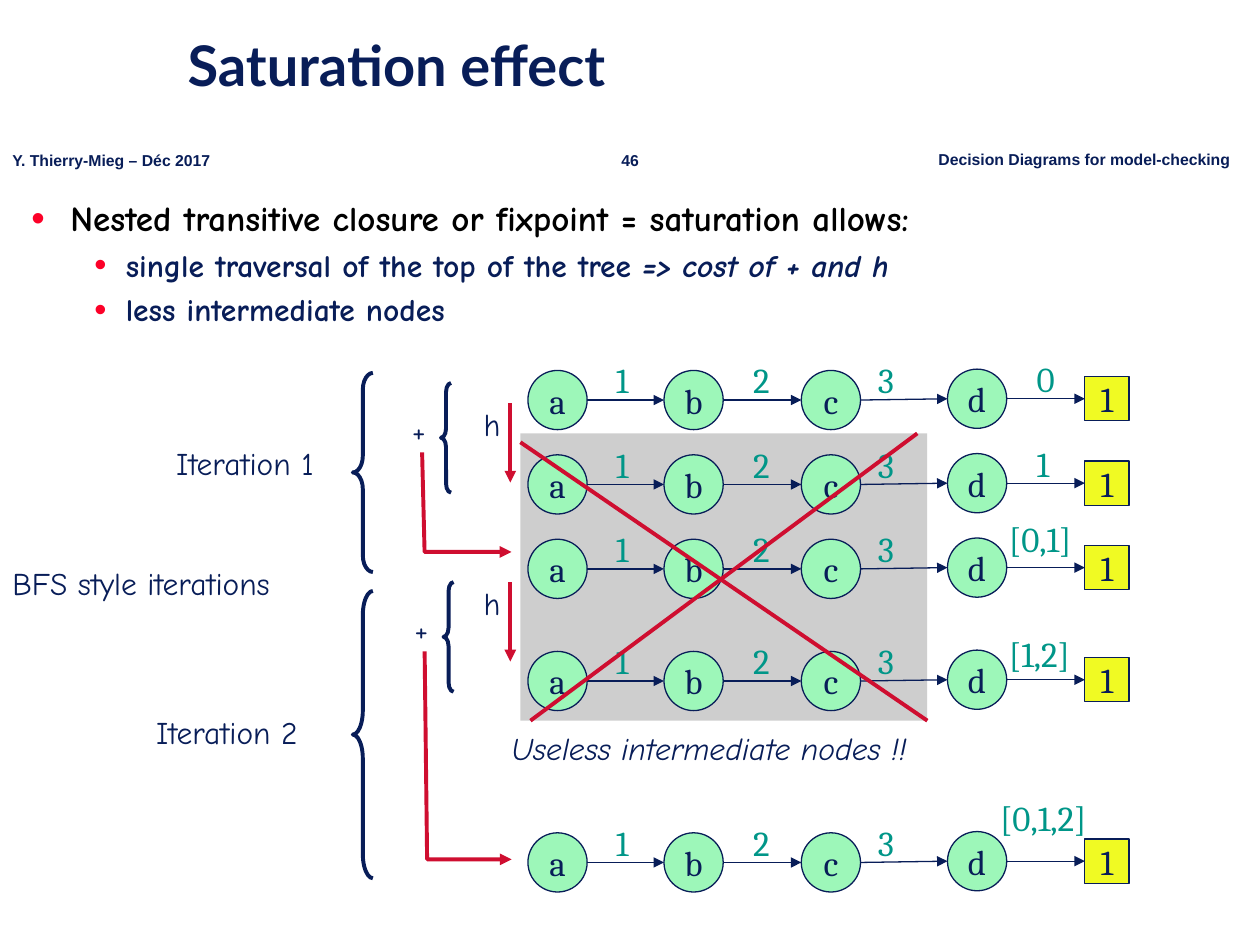
from dataclasses import dataclass
from itertools import pairwise

from lxml import etree
from pptx import Presentation
from pptx.dml.color import RGBColor
from pptx.enum.shapes import MSO_CONNECTOR, MSO_SHAPE
from pptx.enum.text import MSO_ANCHOR, PP_ALIGN
from pptx.oxml.ns import qn
from pptx.util import Inches, Pt

OVAL, RECT, BRACE = MSO_SHAPE.OVAL, MSO_SHAPE.RECTANGLE, MSO_SHAPE.LEFT_BRACE
STRAIGHT = MSO_CONNECTOR.STRAIGHT
LEFT, CENTER = PP_ALIGN.LEFT, PP_ALIGN.CENTER
TOP, MIDDLE = MSO_ANCHOR.TOP, MSO_ANCHOR.MIDDLE


@dataclass(frozen=True)
class Style:
    font: str
    size: float
    color: str
    bold: bool = False
    italic: bool = False
    spacing: float = 1.0


@dataclass(frozen=True)
class Theme:
    navy: str = "081D58"
    red: str = "CF0E30"
    dot: str = "FC0128"
    green: str = "9DF7B9"
    yellow: str = "F0FA23"
    gray: str = "CECECE"
    thin: float = 0.75
    thick: float = 2.25
    title: Style = Style("Lato", 32, "081D58", bold=True, spacing=0.9)
    foot: Style = Style("Arial", 9, "081D58", bold=True)
    lead: Style = Style("Comic Neue", 20, "000000", bold=True, spacing=0.9)
    point: Style = Style("Comic Neue", 18, "081D58", bold=True, spacing=0.9)
    note: Style = Style("Comic Neue", 18, "081D58", spacing=0.9)
    remark: Style = Style("Comic Neue", 18, "081D58", italic=True, spacing=0.9)
    node: Style = Style("Cambria", 20, "081D58")
    edge: Style = Style("Cambria", 20, "009688")


@dataclass(frozen=True)
class Box:
    """Left, top, width and height in grid cells."""
    x: float
    y: float
    w: float
    h: float


@dataclass(frozen=True)
class Chain:
    """One diagram row: its top and the label of its last edge."""
    top: float
    last: str
    label: Box


@dataclass(frozen=True)
class Step:
    """One iteration: small brace, h arrow, + mark and elbow arrow."""
    top: float
    brace: Box
    plus: Box
    elbow: tuple


THEME = Theme()
COLS, ROWS = 100, 75  # grid of square cells
CELL = Inches(10) // COLS

deck = Presentation()
deck.slide_width, deck.slide_height = CELL * COLS, CELL * ROWS
slide = deck.slides.add_slide(deck.slide_layouts[6])
shapes = slide.shapes


def cells(*nums: float) -> list:
    return [round(n * CELL) for n in nums]


def area(box: Box) -> list:
    return cells(box.x, box.y, box.w, box.h)


def format_par(par, style: Style, align=LEFT) -> None:
    par.alignment, par.line_spacing = align, style.spacing
    font = par.font
    font.name, font.size = style.font, Pt(style.size)
    font.bold, font.italic = style.bold, style.italic
    font.color.rgb = RGBColor.from_string(style.color)


def write(shape, text: str, style: Style, align=LEFT, anchor=TOP) -> None:
    frame = shape.text_frame
    frame.word_wrap, frame.vertical_anchor = False, anchor
    par = frame.paragraphs[0]
    par.add_run().text = text
    format_par(par, style, align)


def label(box: Box, text: str, style: Style, align=LEFT, anchor=TOP) -> None:
    write(shapes.add_textbox(*area(box)), text, style, align, anchor)


def stroke(shape, color: str, width: float, arrow: bool = False) -> None:
    shape.line.color.rgb = RGBColor.from_string(color)
    shape.line.width = Pt(width)
    if arrow:
        line = shape.element.spPr.find(qn("a:ln"))
        etree.SubElement(line, qn("a:tailEnd"), type="triangle")


def draw(kind, box: Box, fill: str = "", line: str = "", width: float = THEME.thin):
    shape = shapes.add_shape(kind, *area(box))
    shape.shadow.inherit = False
    if fill:
        shape.fill.solid()
        shape.fill.fore_color.rgb = RGBColor.from_string(fill)
    else:
        shape.fill.background()
    if line:
        stroke(shape, line, width)
    else:
        shape.line.fill.background()
    return shape


def link(x1: float, y1: float, x2: float, y2: float,
         color: str = THEME.navy, width: float = THEME.thin, arrow: bool = True) -> None:
    wire = shapes.add_connector(STRAIGHT, *cells(x1, y1, x2, y2))
    stroke(wire, color, width, arrow)
    etree.SubElement(wire.element.spPr, qn("a:effectLst"))


def brace(box: Box, bend: float) -> None:
    shape = draw(BRACE, box, line=THEME.navy, width=THEME.thick)
    shape.adjustments[0] = bend


def bullet(par, left: float, hang: float) -> None:
    props = par._p.get_or_add_pPr()
    props.set("marL", str(Inches(left)))
    props.set("indent", str(-Inches(hang)))
    tint = etree.SubElement(props, qn("a:buClr"))
    etree.SubElement(tint, qn("a:srgbClr"), val=THEME.dot)
    etree.SubElement(props, qn("a:buSzPct"), val="110000")
    etree.SubElement(props, qn("a:buFont"), typeface="Arial")
    etree.SubElement(props, qn("a:buChar"), char="•")


NODES = {"a": 41.9, "b": 52.7, "c": 63.6, "d": 75.2}
EDGES = {"1": 47.9, "2": 58.8, "3": 68.7}
SIZE, END, SIDE = 4.7, 86.1, 3.5  # node size, end square left and size


def draw_chain(chain: Chain) -> None:
    mid = chain.top + SIZE / 2
    for name, x in NODES.items():
        y = chain.top - 0.1 * (name == "d")
        node = draw(OVAL, Box(x, y, SIZE, SIZE), THEME.green, THEME.navy)
        write(node, name, THEME.node, CENTER, MIDDLE)
    goal = draw(RECT, Box(END, chain.top + 0.5, SIDE, SIDE), THEME.yellow, THEME.navy)
    write(goal, "1", THEME.node, CENTER, MIDDLE)
    for x, after in pairwise([*NODES.values(), END]):
        start = mid - 0.1 * (x == NODES["d"])
        finish = mid - 0.1 * (after >= NODES["d"])
        link(x + SIZE, start, after, finish)
    for name, x in EDGES.items():
        label(Box(x, chain.top - 1.4, 3.4, 4.3), name, THEME.edge)
    label(chain.label, chain.last, THEME.edge)


def draw_step(step: Step) -> None:
    link(40.5, step.top, 40.5, step.top + 6.3, THEME.red, THEME.thick)
    label(Box(37.4, step.top, 3.4, 3.7), "h", THEME.note)
    first, *rest = [cells(*spot) for spot in step.elbow]
    pen = shapes.build_freeform(*first)
    pen.add_line_segments(rest, close=False)
    elbow = pen.convert_to_shape()
    elbow.shadow.inherit = False
    elbow.fill.background()
    stroke(elbow, THEME.red, THEME.thick, arrow=True)
    label(step.plus, "+", THEME.note)
    brace(step.brace, 0.9)


# Header and title
label(Box(47.9, 11.5, 4.2, 2.5), "46", THEME.foot, CENTER)
label(Box(0, 11.5, 18, 2.5), "Y. Thierry-Mieg – Déc 2017", THEME.foot)
label(Box(73.5, 11.4, 25.3, 2.5), "Decision Diagrams for model-checking", THEME.foot)
label(Box(13.9, 0, 86.1, 10.8), "Saturation effect", THEME.title, anchor=MIDDLE)

# Bullet list
POINTS = [
    (THEME.lead, 0.31, 0.31, ["Nested transitive closure or fixpoint = saturation allows:"]),
    (THEME.point, 0.75, 0.25, ["single traversal of the top of the tree ", "=> cost of + and h"]),
    (THEME.point, 0.75, 0.25, ["less intermediate nodes"]),
]
body = shapes.add_textbox(*area(Box(1.5, 15.5, 96.9, 12))).text_frame
body.word_wrap = True
for i, (style, left, hang, parts) in enumerate(POINTS):
    par = body.add_paragraph() if i else body.paragraphs[0]
    bullet(par, left, hang)
    for j, part in enumerate(parts):
        run = par.add_run()
        run.text = part
        if j:
            run.font.italic = True
    format_par(par, style)
    if i:
        par.space_before = Pt(6)

# Useless area and diagram rows
draw(RECT, Box(41.3, 34.4, 32.3, 22.8), THEME.gray)
label(Box(39.6, 57.7, 36.1, 3.7), "Useless intermediate nodes !!", THEME.remark)
for chain in (
    Chain(29.4, "0", Box(81.3, 27.9, 3.4, 4.3)),
    Chain(36.1, "1", Box(81.3, 34.6, 3.4, 4.3)),
    Chain(42.8, "[0,1]", Box(79.1, 40.6, 7.3, 4.3)),
    Chain(51.7, "[1,2]", Box(79.1, 49.7, 7.3, 4.3)),
    Chain(66.1, "[0,1,2]", Box(78.4, 62.7, 9.4, 4.3)),
):
    draw_chain(chain)

# Iterations
for step in (
    Step(32, Box(35, 30.4, 0.8, 8.7), Box(31.7, 32.5, 3.2, 3.7),
         ((33.5, 35.9), (33.7, 43.8), (40.6, 43.8))),
    Step(46.2, Box(35.2, 46.2, 0.8, 8.7), Box(31.9, 48.3, 3.2, 3.7),
         ((33.7, 51.7), (33.9, 68.2), (40.6, 68.2))),
):
    draw_step(step)
label(Box(13, 35.1, 14.8, 3.7), "Iteration 1", THEME.note)
label(Box(11.4, 56.4, 15.2, 3.7), "Iteration 2", THEME.note)
label(Box(0, 44.6, 25.5, 3.7), "BFS style iterations", THEME.note)
brace(Box(28, 29.6, 1.6, 15.8), 0.83)
brace(Box(28, 46.9, 1.6, 22.8), 1.2)

# Cross over the useless area
for ends in ((41.3, 35.1, 73.6, 57.2), (42.1, 57.2, 72.8, 34.4)):
    link(*ends, THEME.red, THEME.thick, arrow=False)

deck.save("out.pptx")
